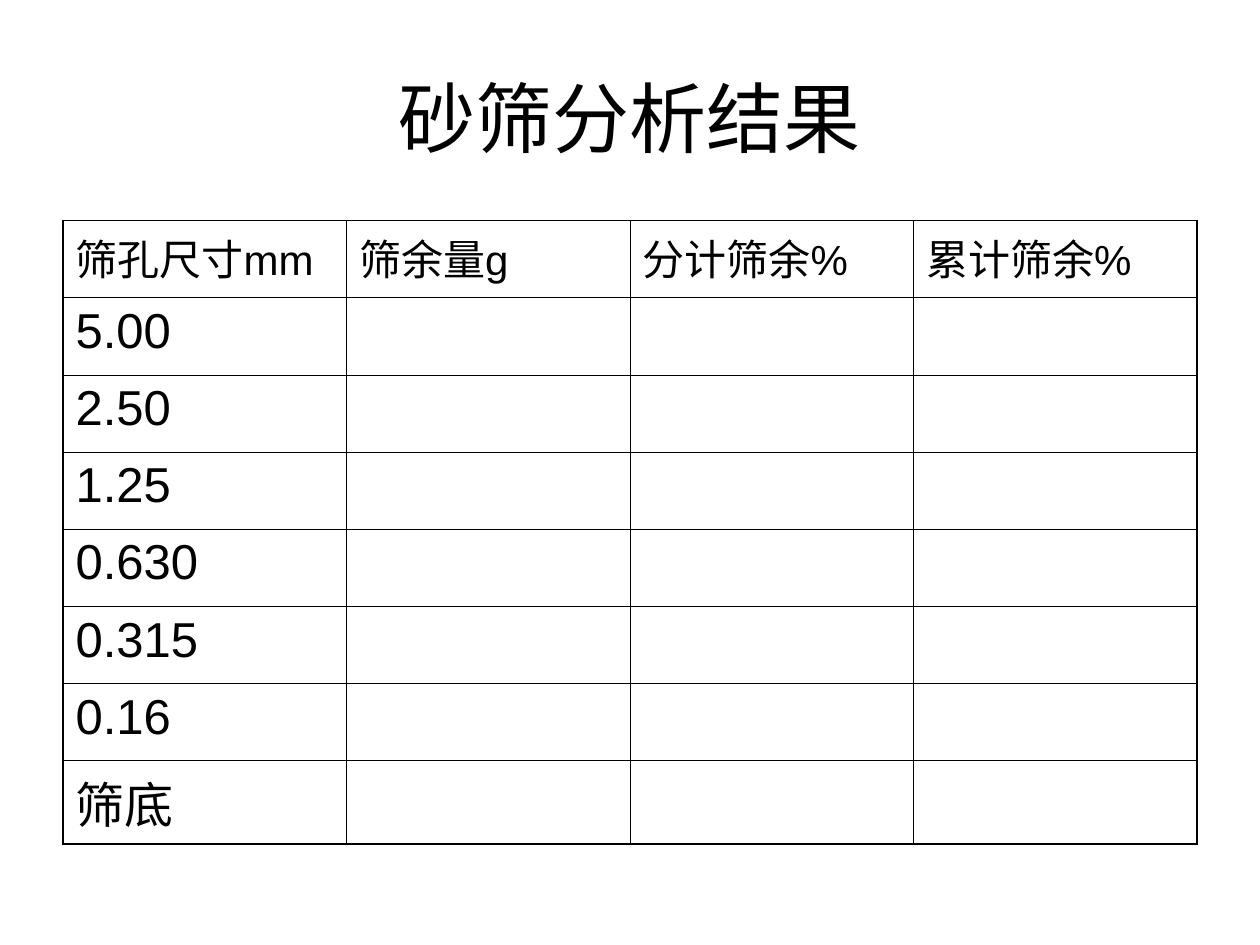
from dataclasses import dataclass

from lxml.etree import SubElement
from pptx import Presentation
from pptx.dml.color import RGBColor as RGB
from pptx.enum.text import MSO_ANCHOR as Anchor, PP_ALIGN as Align
from pptx.oxml.ns import qn
from pptx.util import Inches, Pt


@dataclass(frozen=True)
class Theme:
    font: str = "Arial"
    ink: str = "000000"
    title: int = 44
    header: int = 24
    body: int = 28
    outer: float = 1.08
    inner: float = 0.45


THEME = Theme()
TITLE = "砂筛分析结果"
HEADERS = ["筛孔尺寸mm", "筛余量g", "分计筛余%", "累计筛余%"]
SIEVES = ["5.00", "2.50", "1.25", "0.630", "0.315", "0.16", "筛底"]


def add_run(p, text, size):
    r = p.add_run()
    r.text = text
    r.font.name = THEME.font
    r.font.size = Pt(size)
    r.font.color.rgb = RGB.from_string(THEME.ink)
    r._r.get_or_add_rPr().set("lang", "zh-CN")


def set_borders(cell, widths):
    tc_pr = cell._tc.get_or_add_tcPr()
    for side, width in widths.items():
        ln = SubElement(tc_pr, qn(f"a:ln{side}"), w=str(Pt(width)))
        fill = SubElement(ln, qn("a:solidFill"))
        SubElement(fill, qn("a:srgbClr"), val=THEME.ink)


def place_title(slide, box):
    sp = slide.shapes.title
    sp.left, sp.top, sp.width, sp.height = box
    tf = sp.text_frame
    tf.word_wrap = True
    tf.vertical_anchor = Anchor.MIDDLE
    p = tf.paragraphs[0]
    p.alignment = Align.CENTER
    add_run(p, TITLE, THEME.title)


def place_sieve_table(slide, box):
    left, top, width, height = box
    n_rows, n_cols = len(SIEVES) + 1, len(HEADERS)
    table = slide.shapes.add_table(n_rows, n_cols, left, top, width, height).table
    table.first_row = table.horz_banding = False
    for col in table.columns:
        col.width = width // n_cols
    last_height = Inches(0.66)
    for row in table.rows:
        row.height = (height - last_height) // (n_rows - 1)
    table.rows[n_rows - 1].height = last_height

    for i in range(n_rows):
        for j in range(n_cols):
            cell = table.cell(i, j)
            edges = {"L": j == 0, "R": j == n_cols - 1,
                     "T": i == 0, "B": i == n_rows - 1}
            set_borders(cell, {side: THEME.outer if edge else THEME.inner
                               for side, edge in edges.items()})
            cell.fill.background()
    for j, label in enumerate(HEADERS):
        add_run(table.cell(0, j).text_frame.paragraphs[0], label, THEME.header)
    for i, size in enumerate(SIEVES, 1):
        add_run(table.cell(i, 0).text_frame.paragraphs[0], size, THEME.body)


def main():
    prs = Presentation()
    prs.slide_width, prs.slide_height = Inches(10), Inches(7.5)
    w, h = prs.slide_width, prs.slide_height
    slide = prs.slides.add_slide(prs.slide_layouts[5])
    margin, content = int(w * 0.05), int(w * 0.9)
    place_title(slide, (margin, int(h * 0.04), content, Inches(1.25)))
    place_sieve_table(slide, (margin, Inches(1.75), content, int(h * 0.66)))
    prs.save("out.pptx")


if __name__ == "__main__":
    main()
